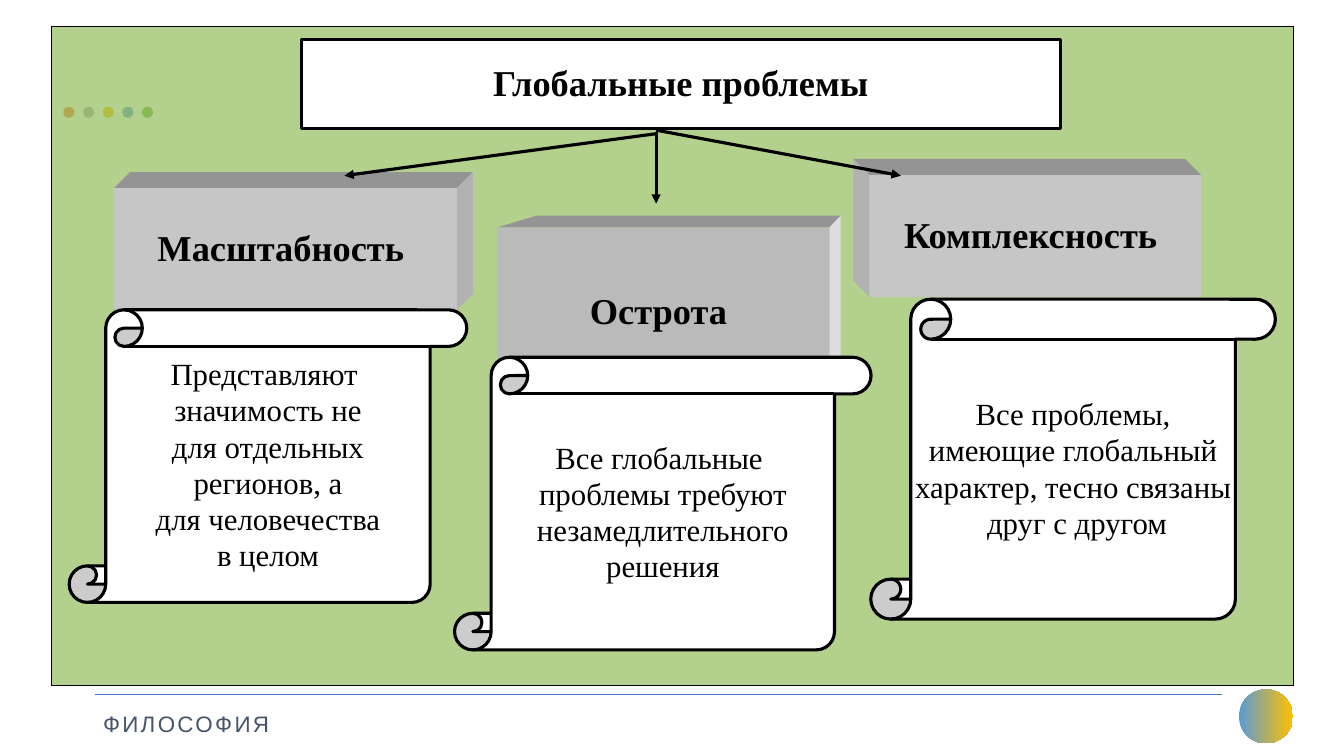
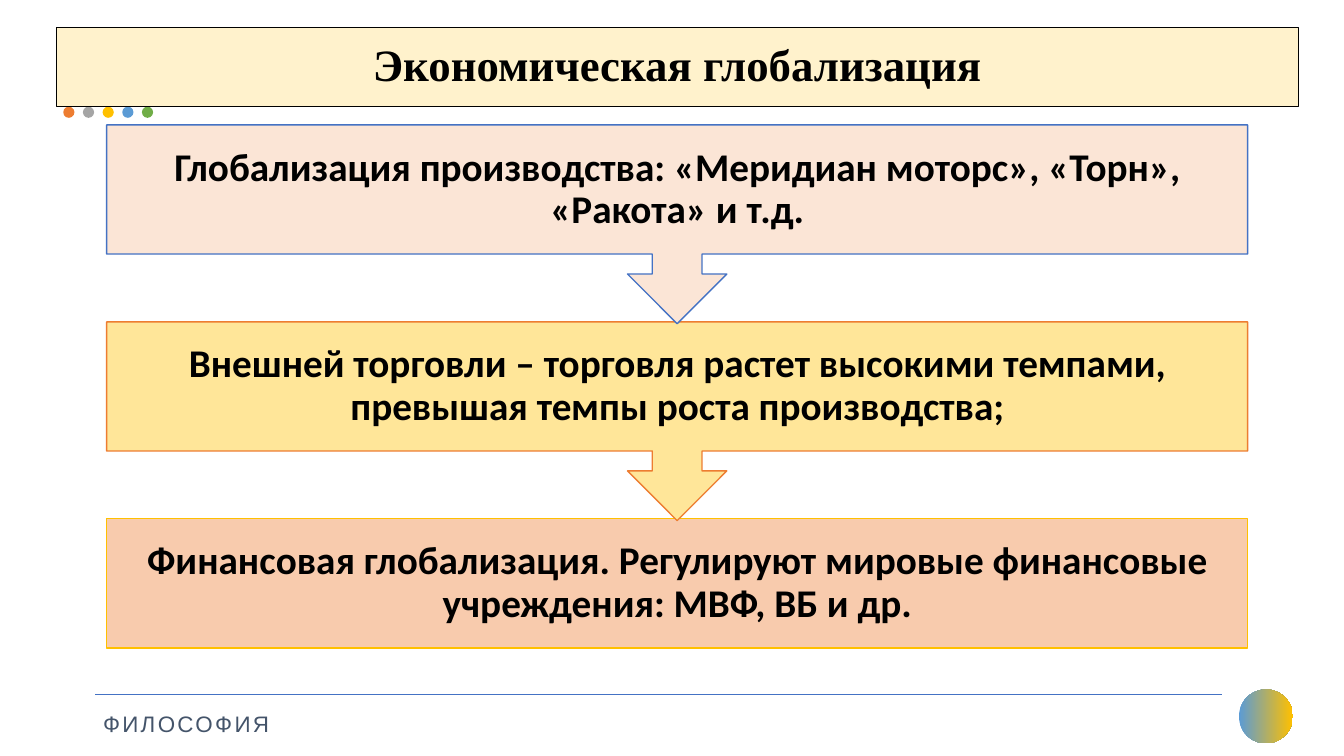
from pptx import Presentation
from pptx.dml.color import RGBColor
from pptx.enum.shapes import MSO_CONNECTOR as Connector, MSO_SHAPE as Preset
from pptx.enum.text import MSO_ANCHOR as Anchor, PP_ALIGN as Align
from pptx.oxml.ns import qn
from pptx.util import Pt
from lxml.etree import SubElement

BLACK = RGBColor(0x00, 0x00, 0x00)
WHITE = RGBColor(0xFF, 0xFF, 0xFF)
SLATE = RGBColor(0x44, 0x54, 0x6A)
BLUE = RGBColor(0x44, 0x72, 0xC4)
SKY = RGBColor(0x5B, 0x9B, 0xD5)
ORANGE = RGBColor(0xED, 0x7D, 0x31)
GREY = RGBColor(0xA5, 0xA5, 0xA5)
GOLD = RGBColor(0xFF, 0xC0, 0x00)
GREEN = RGBColor(0x70, 0xAD, 0x47)
MEADOW = RGBColor(0x94, 0xBD, 0x5E)
CREAM = RGBColor(0xFF, 0xF2, 0xCC)
PEACH = RGBColor(0xF8, 0xCB, 0xAD)
PALE_PEACH = RGBColor(0xFB, 0xE5, 0xD6)
YELLOW = RGBColor(0xFF, 0xE6, 0x99)
FRONT_GREY = RGBColor(0xC6, 0xC6, 0xC6)
MID_GREY = RGBColor(0xBA, 0xBA, 0xBA)
TOP_GREY = RGBColor(0x94, 0x94, 0x94)
SIDE_GREY = RGBColor(0xB2, 0xB2, 0xB2)
LIGHT_GREY = RGBColor(0xDD, 0xDD, 0xDD)

SERIF = "Times New Roman"
HEADING = {"name": SERIF, "size": Pt(26), "bold": True}
BODY = {"name": SERIF, "size": Pt(22)}
TITLE = {"name": SERIF, "size": Pt(32), "bold": True}
STEP = {"name": "Calibri", "size": Pt(28), "bold": True}
FOOTER = {"name": "Arial", "size": Pt(16)}


def apply_values(target, values):
    """Set each named attribute of the target."""
    for name, value in values.items():
        setattr(target, name, value)


def paint(shape, fill, line=None, width=0.75):
    """Give a shape a flat fill and an optional outline."""
    shape.shadow.inherit = False
    shape.fill.solid()
    shape.fill.fore_color.rgb = fill
    if line is None:
        shape.line.fill.background()
    else:
        shape.line.color.rgb = line
        shape.line.width = Pt(width)


def add_preset(slide, preset, box, fill, line=None, width=0.75):
    """Add a painted preset shape at left, top, width, height."""
    shape = slide.shapes.add_shape(preset, *map(Pt, box))
    paint(shape, fill, line, width)
    return shape


def write(shape, lines, font, color=BLACK, spacing=0.98, wrap=False,
          align=Align.CENTER, inset=(7.2, 3.6)):
    """Write one paragraph per line of text into a shape."""
    frame = shape.text_frame
    across, down = map(Pt, inset)
    apply_values(frame, {
        "word_wrap": wrap, "vertical_anchor": Anchor.MIDDLE,
        "margin_left": across, "margin_right": across,
        "margin_top": down, "margin_bottom": down})
    for index, line in enumerate(lines):
        paragraph = frame.add_paragraph() if index else frame.paragraphs[0]
        apply_values(paragraph, {"alignment": align, "line_spacing": spacing})
        run = paragraph.add_run()
        run.text = line
        apply_values(run.font, font)
        run.font.color.rgb = color


def add_line(slide, start, end, color, width, arrow=False):
    """Add a straight line, with an arrowhead at its end if asked."""
    connector = slide.shapes.add_connector(
        Connector.STRAIGHT, *map(Pt, (*start, *end)))
    connector.line.color.rgb = color
    connector.line.width = Pt(width)
    properties = connector._element.spPr
    if arrow:
        SubElement(properties.find(qn("a:ln")), qn("a:tailEnd"), type="triangle")
    SubElement(properties, qn("a:effectLst"))


def add_face(slide, points, fill):
    """Add a filled polygon through the points."""
    corners = [(Pt(x), Pt(y)) for x, y in points]
    builder = slide.shapes.build_freeform(*corners[0])
    builder.add_line_segments(corners[1:], close=True)
    paint(builder.convert_to_shape(), fill)


def add_block(slide, text, box, depth, lean, front, side):
    """Add a raised block with a top face, a side face and a heading."""
    left, top, width, height = box
    across, up = depth
    right, bottom = left + width, top + height
    edge = right if across > 0 else left
    add_face(slide, [(left, top), (left + lean, top - up),
                     (right + across, top - up), (right, top)], TOP_GREY)
    add_face(slide, [(edge, top), (edge + across, top - up),
                     (edge + across, bottom - up), (edge, bottom)], side)
    write(add_preset(slide, Preset.RECTANGLE, box, front), [text], HEADING)


def add_scroll(slide, box, lines):
    """Add an outlined scroll with centred lines."""
    scroll = add_preset(slide, Preset.VERTICAL_SCROLL, box, WHITE, BLACK, 2.25)
    write(scroll, lines, BODY)


def add_base(presentation):
    """Add a blank slide with the shared dots, rule, disc and footer."""
    slide = presentation.slides.add_slide(presentation.slide_layouts[6])
    disc = add_preset(slide, Preset.OVAL, (885, 492.5, 38.5, 38.5), SKY)
    disc.fill.gradient()
    disc.fill.gradient_angle = 0
    for stop, color in zip(disc.fill.gradient_stops, (SKY, GOLD)):
        stop.color.rgb = color
    add_line(slide, (68, 496), (873, 496), BLUE, 0.5)
    for index, color in enumerate((ORANGE, GREY, GOLD, SKY, GREEN)):
        add_preset(slide, Preset.OVAL, (45.2 + 14.05 * index, 76.2, 8, 8), color)
    footer = slide.shapes.add_textbox(*map(Pt, (70.6, 496, 128, 32)))
    write(footer, ["ФИЛОСОФИЯ"], FOOTER, SLATE, 1.5, align=Align.LEFT,
          inset=(3, 3))
    run = footer.text_frame.paragraphs[0].runs[0]
    run._r.get_or_add_rPr().set("spc", "170")
    return slide


def build_problems(presentation):
    """Build the slide on the features of global problems."""
    slide = add_base(presentation)
    panel = add_preset(slide, Preset.RECTANGLE, (36.7, 18.9, 887, 471),
                       MEADOW, BLACK)
    color = panel._element.spPr.find(qn("a:solidFill"))[0]
    SubElement(color, qn("a:alpha"), val="70000")
    heading = add_preset(slide, Preset.RECTANGLE, (215.3, 28.2, 542.2, 63.4),
                         WHITE, BLACK, 2.25)
    write(heading, ["Глобальные проблемы"], HEADING)

    for block in (
        ("Масштабность ", (81.4, 134.4, 245, 87), (11.5, 11.5), 11.5,
         FRONT_GREY, SIDE_GREY),
        ("Острота ", (355, 162.5, 237.5, 120), (8, 8.5), 28.5,
         MID_GREY, LIGHT_GREY),
        ("Комплексность ", (621, 125, 237, 87), (-11.5, 11.5), -11.5,
         FRONT_GREY, SIDE_GREY),
    ):
        add_block(slide, *block)

    for box, lines in (
        ((49.4, 221.3, 284, 209),
         ["Представляют ", "значимость не", "для отдельных", "регионов, а",
          "для человечества", "в целом"]),
        ((324.7, 255.2, 297.5, 209),
         ["Все глобальные ", "проблемы требуют", "незамедлительного",
          "решения"]),
        ((622, 213.7, 289, 228.5),
         ["Все проблемы,", "имеющие глобальный", "характер, тесно связаны",
          " друг с другом"]),
    ):
        add_scroll(slide, box, lines)

    for start_y, end in ((95.5, (246, 125.5)), (94, (468.7, 145.5)),
                         (93, (643.5, 125.5))):
        add_line(slide, (468.7, start_y), end, BLACK, 2.25, arrow=True)


def build_economy(presentation):
    """Build the slide on economic globalization."""
    slide = add_base(presentation)
    title = add_preset(slide, Preset.RECTANGLE, (40.3, 19.4, 887, 57),
                       CREAM, BLACK)
    write(title, ["Экономическая глобализация"], TITLE, spacing=0.9, wrap=True)
    steps = [
        (Preset.DOWN_ARROW_CALLOUT, 142, PALE_PEACH, BLUE,
         "Глобализация производства: «Меридиан моторс», «Торн», "
         "«Ракота» и т.д."),
        (Preset.DOWN_ARROW_CALLOUT, 142, YELLOW, ORANGE,
         "Внешней торговли – торговля растет высокими темпами, "
         "превышая темпы роста производства;"),
        (Preset.RECTANGLE, 92.3, PEACH, GOLD,
         "Финансовая глобализация. Регулируют мировые финансовые "
         "учреждения: МВФ, ВБ и др."),
    ]
    for index, step in reversed(list(enumerate(steps))):
        preset, height, fill, line, text = step
        box = (76.2, 89.2 + 140.7 * index, 815, height)
        shape = add_preset(slide, preset, box, fill, line, 1)
        write(shape, [text], STEP, spacing=0.9, wrap=True, inset=(15.8, 15.8))


def main():
    """Build and save the presentation."""
    presentation = Presentation()
    apply_values(presentation, {"slide_width": Pt(960), "slide_height": Pt(540)})
    build_problems(presentation)
    build_economy(presentation)
    presentation.save("out.pptx")


if __name__ == "__main__":
    main()
